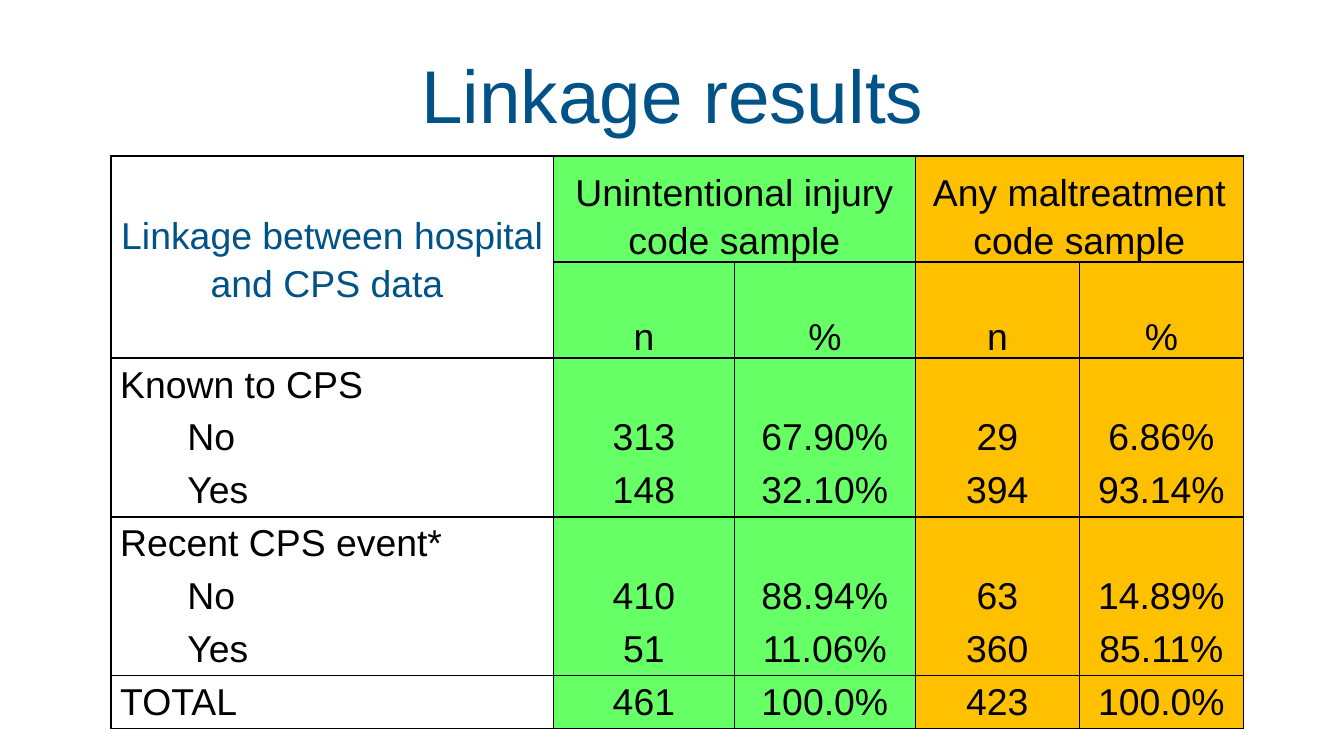
"""Build the slide with the table of linkage results."""
from lxml.etree import SubElement
from pptx import Presentation
from pptx.dml.color import RGBColor
from pptx.enum.text import MSO_ANCHOR, PP_ALIGN
from pptx.oxml.ns import qn
from pptx.util import Cm, Pt

BLUE = RGBColor(0x00, 0x52, 0x87)
BLACK = RGBColor(0, 0, 0)
GREEN = RGBColor(0x66, 0xFF, 0x66)
AMBER = RGBColor(0xFF, 0xC0, 0x00)

TITLE = "Linkage results"
ROWS = [
    ("Linkage between hospital and CPS data ", "Unintentional injury code sample", "",
     "Any maltreatment code sample", ""),
    ("", "n", "%", "n", "%"),
    ("Known to CPS", "", "", "", ""),
    ("No", "313", "67.90%", "29", "6.86%"),
    ("Yes", "148", "32.10%", "394", "93.14%"),
    ("Recent CPS event*", "", "", "", ""),
    ("No", "410", "88.94%", "63", "14.89%"),
    ("Yes", "51", "11.06%", "360", "85.11%"),
    ("TOTAL", "461", "100.0%", "423", "100.0%"),
]
MERGES = [((0, 0), (1, 0)), ((0, 1), (0, 2)), ((0, 3), (0, 4))]
HEADER_ROWS = 2
GROUP_STARTS = {0, 1, 2, 5, 8}
INDENTED = {"No", "Yes"}
COLUMN_FILLS = [None, GREEN, GREEN, AMBER, AMBER]
COLUMN_WIDTHS = [8.36, 3.42, 3.42, 3.1, 3.1]
ROW_HEIGHTS = [2.0, 1.8] + [1.0] * 7
CELL_FORMAT = {"margin_left": Cm(0.17), "margin_right": Cm(0.17),
               "margin_top": 0, "margin_bottom": 0}


def write(paragraph, text, size, color):
    run = paragraph.add_run()
    run.text = text
    for name, value in {"name": "Arial", "size": Pt(size), "bold": False}.items():
        setattr(run.font, name, value)
    run.font.color.rgb = color


def draw_borders(cell, row):
    starts = GROUP_STARTS | {len(ROWS)}
    edges = {"a:lnL": True, "a:lnR": True, "a:lnT": row in starts, "a:lnB": row + 1 in starts}
    properties = cell._tc.get_or_add_tcPr()
    for tag, visible in edges.items():
        line = SubElement(properties, qn(tag), w=str(Pt(1)))
        if visible:
            fill = SubElement(line, qn("a:solidFill"))
            SubElement(fill, qn("a:srgbClr"), val=str(BLACK))
        else:
            SubElement(line, qn("a:noFill"))


def fill_cell(cell, row, column, text):
    for name, value in CELL_FORMAT.items():
        setattr(cell, name, value)
    header = row < HEADER_ROWS
    corner = header and column == 0
    if header:
        cell.vertical_anchor = MSO_ANCHOR.MIDDLE if corner else MSO_ANCHOR.BOTTOM
    draw_borders(cell, row)
    if COLUMN_FILLS[column] is None:
        cell.fill.background()
    else:
        cell.fill.solid()
        cell.fill.fore_color.rgb = COLUMN_FILLS[column]
    if not text:
        return
    paragraph = cell.text_frame.paragraphs[0]
    paragraph.line_spacing = 1.15
    paragraph.alignment = PP_ALIGN.CENTER if header or column else PP_ALIGN.LEFT
    if text in INDENTED:
        paragraph._p.get_or_add_pPr().set("marL", str(Cm(1.27)))
    write(paragraph, text, 20, BLUE if corner else BLACK)


def main():
    presentation = Presentation()
    presentation.slide_width, presentation.slide_height = Cm(25.4), Cm(14.28)
    slide = presentation.slides.add_slide(presentation.slide_layouts[5])

    title = slide.shapes.title
    title_box = {"left": Cm(1.27), "top": Cm(0.58), "width": Cm(22.86), "height": Cm(2.39)}
    for name, value in title_box.items():
        setattr(title, name, value)
    title.text_frame.vertical_anchor = MSO_ANCHOR.MIDDLE
    heading = title.text_frame.paragraphs[0]
    heading.alignment = PP_ALIGN.CENTER
    write(heading, TITLE, 40, BLUE)

    results = slide.shapes.add_table(
        len(ROWS), len(COLUMN_WIDTHS), Cm(2.1), Cm(2.95),
        Cm(sum(COLUMN_WIDTHS)), Cm(sum(ROW_HEIGHTS))).table
    results.first_row = results.horz_banding = False
    for column, width in zip(results.columns, COLUMN_WIDTHS):
        column.width = Cm(width)
    for row, height in zip(results.rows, ROW_HEIGHTS):
        row.height = Cm(height)
    for first, last in MERGES:
        results.cell(*first).merge(results.cell(*last))
    for row, texts in enumerate(ROWS):
        for column, text in enumerate(texts):
            fill_cell(results.cell(row, column), row, column, text)

    presentation.save("out.pptx")


if __name__ == "__main__":
    main()
